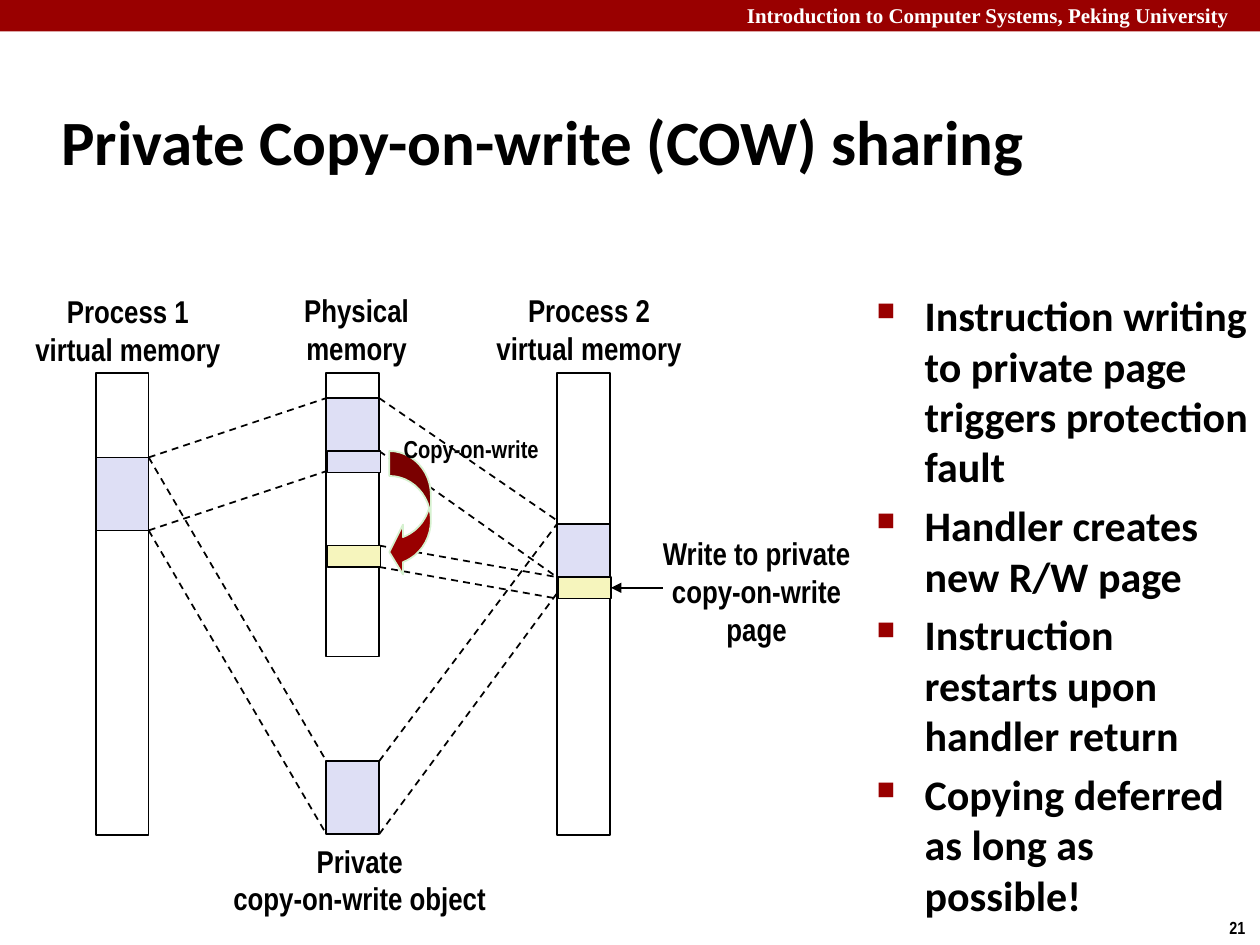
from lxml.etree import SubElement
from pptx import Presentation
from pptx.dml.color import RGBColor
from pptx.enum.dml import MSO_LINE_DASH_STYLE as DASH
from pptx.enum.shapes import MSO_CONNECTOR as CONNECTOR, MSO_SHAPE as SHAPE
from pptx.enum.text import MSO_ANCHOR as ANCHOR, PP_ALIGN as ALIGN
from pptx.oxml.ns import qn
from pptx.util import Inches, Pt

BLACK, WHITE, RED = "000000", "FFFFFF", "990000"
LAVENDER, YELLOW, PALE_GREEN = "DEDFF5", "F6F5BD", "D5F1CF"


def color(value):
    return RGBColor.from_string(value)


def add_bullet(paragraph, indent):
    properties = paragraph._p.get_or_add_pPr()
    properties.set("marL", str(Inches(indent)))
    properties.set("indent", str(-Inches(indent)))
    bullet_color = SubElement(properties, qn("a:buClr"))
    SubElement(bullet_color, qn("a:srgbClr"), val=RED)
    SubElement(properties, qn("a:buSzPct"), val="60000")
    SubElement(properties, qn("a:buChar"), char="■")


def add_text(slide, box, lines, size=18, font="Arial Narrow", fill=BLACK,
             align=ALIGN.LEFT, anchor=ANCHOR.TOP, wrap=False, indent=0, gap=0):
    shape = slide.shapes.add_textbox(*map(Inches, box))
    frame = shape.text_frame
    frame.word_wrap = wrap
    frame.vertical_anchor = anchor
    for index, line in enumerate(lines):
        paragraph = frame.paragraphs[0] if index == 0 else frame.add_paragraph()
        paragraph.text = line
        if indent:
            add_bullet(paragraph, indent)
        paragraph.alignment = align
        if index and gap:
            paragraph.space_before = Pt(gap)
        paragraph.font.size = Pt(size)
        paragraph.font.name = font
        paragraph.font.bold = True
        paragraph.font.color.rgb = color(fill)


def add_box(slide, box, fill=None, line=BLACK, kind=SHAPE.RECTANGLE):
    shape = slide.shapes.add_shape(kind, *map(Inches, box))
    shape.shadow.inherit = False
    if fill:
        shape.fill.solid()
        shape.fill.fore_color.rgb = color(fill)
    else:
        shape.fill.background()
    if line:
        shape.line.color.rgb = color(line)
        shape.line.width = Pt(1)
    else:
        shape.line.fill.background()
    return shape


def add_line(slide, start, end, dashed=True):
    line = slide.shapes.add_connector(CONNECTOR.STRAIGHT, *map(Inches, (*start, *end)))
    SubElement(line._element.spPr, qn("a:effectLst"))
    line.line.color.rgb = color(BLACK)
    line.line.width = Pt(1)
    if dashed:
        line.line.dash_style = DASH.DASH
    return line


def draw_header(slide, left, top, width, height):
    add_box(slide, (left, top, width, height), RED, None)
    add_text(slide, (left + 5.83, top - 0.03, 4.24, 0.3),
             ["Introduction to Computer Systems, Peking University"],
             size=12, font="Times New Roman", fill=WHITE, wrap=True)


def draw_bullets(slide, left, top, width, height):
    add_text(slide, (left, top, width, height), [
        "Instruction writing to private page triggers protection fault",
        "Handler creates new R/W page",
        "Instruction restarts upon handler return",
        "Copying deferred as long as possible!",
    ], size=24, font="Calibri", wrap=True, indent=0.38, gap=4.8)


def draw_memory_diagram(slide, left, top):
    bar, area, page = 0.42, 0.58, 0.17
    process_1, physical, process_2 = (left + 0.59 + 1.83 * n for n in range(3))
    bar_top = top + 0.7
    object_top, shared_top = top + 3.78, top + 0.9
    area_1_top, area_2_top = top + 1.37, top + 1.9
    old_page_top, new_page_top, written_top = top + 1.32, top + 2.07, top + 2.32

    def label(x, y, width, *lines, size=18):
        height = 0.3 * len(lines) + 0.1
        add_text(slide, (left + x, top + y, width, height), lines, size=size,
                 align=ALIGN.CENTER, anchor=ANCHOR.MIDDLE)

    for x, height in ((process_1, 3.67), (physical, 2.25), (process_2, 3.67)):
        add_box(slide, (x, bar_top, bar, height))
    for x, y in ((physical, object_top), (physical, shared_top),
                 (process_1, area_1_top), (process_2, area_2_top)):
        add_box(slide, (x, y, bar, area), LAVENDER)

    right_1, right_physical = process_1 + bar, physical + bar
    for target in (object_top, shared_top):
        for edge in (0, area):
            add_line(slide, (right_1, area_1_top + edge), (physical, target + edge))
    for source, target in (
        (object_top, area_2_top),
        (object_top + area, area_2_top + 0.55),
        (shared_top, area_2_top - 0.03),
        (old_page_top, written_top),
        (new_page_top, written_top),
        (new_page_top + page, written_top + page),
    ):
        add_line(slide, (right_physical, source), (process_2, target))

    copy_arrow = add_box(slide, (left + 2.92, old_page_top, 0.33, 1), RED,
                         PALE_GREEN, SHAPE.CURVED_LEFT_ARROW)
    for index, value in enumerate((0.6, 1.2, 0.33)):
        copy_arrow.adjustments[index] = value
    add_box(slide, (physical + 0.01, old_page_top, bar, page), LAVENDER)
    add_box(slide, (physical + 0.01, new_page_top, bar, page), YELLOW)
    written_page = add_box(slide, (process_2 + 0.01, written_top, bar, page), YELLOW)

    middle = written_top + page / 2
    write_arrow = add_line(slide, (left + 5.09, middle),
                           (process_2 + 0.01 + bar, middle), dashed=False)
    write_arrow.end_connect(written_page, 3)
    SubElement(write_arrow.line._get_or_add_ln(), qn("a:tailEnd"), type="triangle")

    label(0, 0.01, 1.69, "Process 1", "virtual memory")
    label(2.14, 0, 1.04, "Physical", "memory")
    label(3.66, 0, 1.69, "Process 2", "virtual memory")
    label(1.57, 4.37, 2.23, "Private", "copy-on-write object")
    label(2.93, 1.1, 1.28, "Copy-on-write", size=14)
    label(4.98, 1.93, 1.71, "Write to private", "copy-on-write", "page")


def main():
    presentation = Presentation()
    presentation.slide_width = Inches(10)
    presentation.slide_height = Inches(7.5)
    slide = presentation.slides.add_slide(presentation.slide_layouts[6])
    draw_header(slide, 0, 0, 10, 0.25)
    add_text(slide, (0.39, 0.48, 8.3, 1.27), ["Private Copy-on-write (COW) sharing"],
             size=36, font="Calibri", anchor=ANCHOR.MIDDLE, wrap=True)
    draw_bullets(slide, 6.86, 2.25, 3.15, 4.93)
    draw_memory_diagram(slide, 0.17, 2.26)
    add_text(slide, (9.66, 7.23, 0.34, 0.27), ["21"], size=10)
    presentation.save("out.pptx")


if __name__ == "__main__":
    main()
